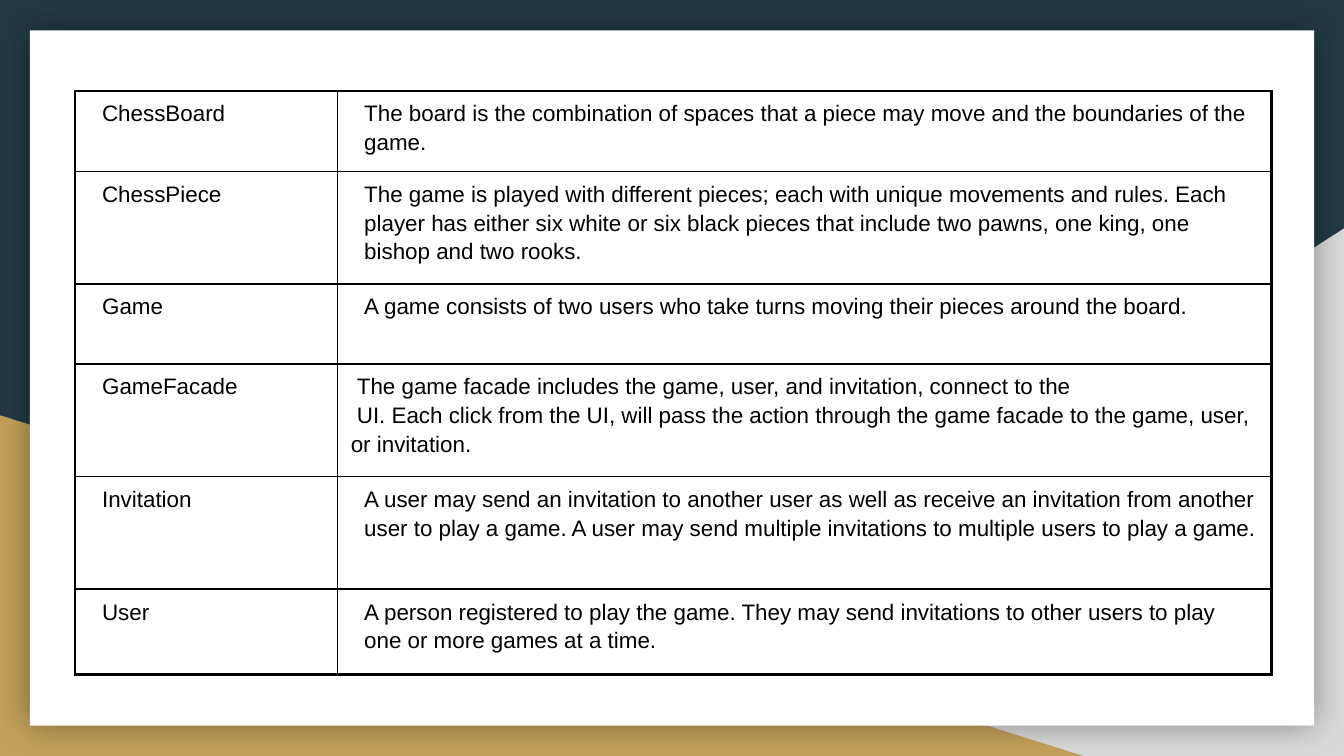
"""Build a slide with a table of chess game terms."""
from lxml import etree
from pptx import Presentation
from pptx.dml.color import RGBColor
from pptx.enum.shapes import MSO_SHAPE
from pptx.oxml.ns import qn
from pptx.util import Pt

TRI, RECT = MSO_SHAPE.RIGHT_TRIANGLE, MSO_SHAPE.RECTANGLE
HUES = {"navy": "233A44", "gray": "D9D9D9", "gold": "C4A15A",
        "white": "FFFFFF", "black": "000000"}
WIDE, HIGH = 720, 405

TERMS = [
    ("ChessBoard", 43, ["The board is the combination of spaces that a piece may move and the boundaries of the game."]),
    ("ChessPiece", 60.3, ["The game is played with different pieces; each with unique movements and rules. Each player has either six white or six black pieces that include two pawns, one king, one bishop and two rooks."]),
    ("Game", 43, ["A game consists of two users who take turns moving their pieces around the board."]),
    ("GameFacade", 60.3, [
        "The game facade includes the game, user, and invitation, connect to the",
        "UI. Each click from the UI, will pass the action through the game facade to the game, user, or invitation."]),
    ("Invitation", 60.3, ["A user may send an invitation to another user as well as receive an invitation from another user to play a game. A user may send multiple invitations to multiple users to play a game."]),
    ("User", 45.8, ["A person registered to play the game. They may send invitations to other users to play one or more games at a time."]),
]
COLS = [140.4, 500.4]
LEFT, TOP = 40.3, 48.8
TRIS = [("gray", 437.8, 282.6, True), ("gold", 580.3, 182.5, False)]
CARD = (16, 16.2, 688, 372.6)
FONT = {"name": "Arial", "size": Pt(12), "bold": False}
THICK, THIN = 1.5, 1


def tint(hue):
    return RGBColor.from_string(HUES[hue])


def add_hue(node, hue):
    fill = etree.SubElement(node, qn("a:solidFill"))
    return etree.SubElement(fill, qn("a:srgbClr"), val=HUES[hue])


def add_form(slide, kind, hue, box):
    form = slide.shapes.add_shape(kind, *map(Pt, box))
    form.shadow.inherit = False
    form.fill.solid()
    form.fill.fore_color.rgb = tint(hue)
    form.line.fill.background()
    return form


def add_glow(form):
    list_ = form._element.spPr.find(qn("a:effectLst"))
    glow = etree.SubElement(list_, qn("a:outerShdw"), blurRad=str(Pt(18)),
                            dist="0", dir="0", algn="ctr", rotWithShape="0")
    hue = etree.SubElement(glow, qn("a:srgbClr"), val=HUES["black"])
    etree.SubElement(hue, qn("a:alpha"), val="40000")


def set_edges(cell, row, col):
    outer = {"L": col == 0, "R": col == len(COLS) - 1,
             "T": row == 0, "B": row == len(TERMS) - 1}
    prop = cell._tc.get_or_add_tcPr()
    for spot, (side, edge) in enumerate(outer.items()):
        line = etree.Element(qn("a:ln" + side), w=str(Pt(THICK if edge else THIN)))
        add_hue(line, "black")
        prop.insert(spot, line)


def set_text(cell, lines):
    frame = cell.text_frame
    frame.text = "\n".join(lines)
    pad = {"indent": Pt(3.3)} if len(lines) > 1 else {"marL": Pt(7.2), "indent": 0}
    for para in frame.paragraphs:
        para.line_spacing = 1.15
        for key, val in pad.items():
            para._p.get_or_add_pPr().set(key, str(val))
        font = para.runs[0].font
        for key, val in FONT.items():
            setattr(font, key, val)
        font.color.rgb = tint("black")


def add_terms(slide):
    highs = [high for _, high, _ in TERMS]
    box = LEFT, TOP, sum(COLS), sum(highs)
    table = slide.shapes.add_table(len(TERMS), len(COLS), *map(Pt, box)).table
    table.first_row = table.horz_banding = False
    for col, wide in zip(table.columns, COLS):
        col.width = Pt(wide)
    for row, (term, high, lines) in enumerate(TERMS):
        table.rows[row].height = Pt(high)
        for col, text in enumerate(([term], lines)):
            cell = table.cell(row, col)
            cell.fill.background()
            set_edges(cell, row, col)
            set_text(cell, text)


def main():
    deck = Presentation()
    deck.slide_width, deck.slide_height = Pt(WIDE), Pt(HIGH)
    slide = deck.slides.add_slide(deck.slide_layouts[6])
    back = slide.background.fill
    back.solid()
    back.fore_color.rgb = tint("navy")
    for hue, wide, high, flip in TRIS:
        left = WIDE - wide if flip else 0
        form = add_form(slide, TRI, hue, (left, HIGH - high, wide, high))
        if flip:
            form._element.spPr.xfrm.set("flipH", "1")
    add_glow(add_form(slide, RECT, "white", CARD))
    add_terms(slide)
    deck.save("out.pptx")


if __name__ == "__main__":
    main()
